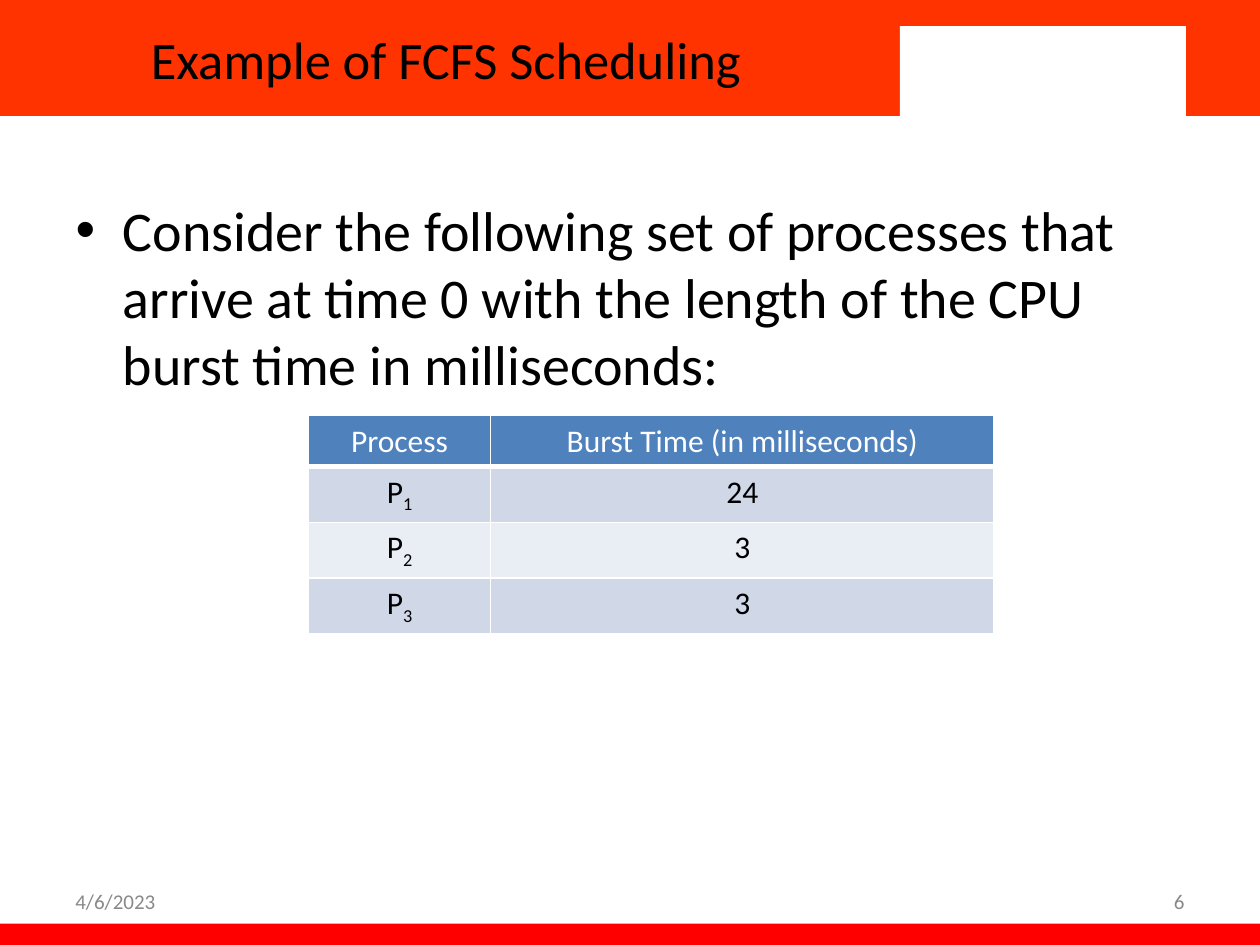
import lxml.etree
import pptx
import pptx.dml.color
import pptx.enum.shapes
import pptx.enum.text
import pptx.oxml.ns
import pptx.util

Cm = pptx.util.Cm
Pt = pptx.util.Pt
ALIGN = pptx.enum.text.PP_ALIGN
ANCHOR = pptx.enum.text.MSO_ANCHOR
FONT = "Calibri"
PROCESSES = [("1", "24"), ("2", "3"), ("3", "3")]


def color(value):
    """Turn a hex string into a colour."""
    return pptx.dml.color.RGBColor.from_string(value)


def format_para(para, size, shade, align):
    """Align a paragraph and format all of its runs."""
    para.alignment = align
    for span in para.runs:
        span.font.name = FONT
        span.font.size = Pt(size)
        span.font.bold = False
        span.font.color.rgb = color(shade)


def add_band(page, left, top, width, height, shade):
    """Add a plain filled rectangle."""
    band = page.shapes.add_shape(
        pptx.enum.shapes.MSO_SHAPE.RECTANGLE, Cm(left), Cm(top), Cm(width), Cm(height))
    band.shadow.inherit = False
    band.fill.solid()
    band.fill.fore_color.rgb = color(shade)
    band.line.fill.background()


def fill_placeholder(box, place, text, size, align, anchor):
    """Move a placeholder in front of the bands and write its text."""
    box.element.getparent().append(box.element)
    box.left, box.top, box.width, box.height = map(Cm, place)
    box.text_frame.text = text
    box.text_frame.vertical_anchor = anchor
    format_para(box.text_frame.paragraphs[0], size, "000000", align)


def add_footer(page, left, text, align):
    """Add a small grey text at the foot of the page."""
    box = page.shapes.add_textbox(Cm(left), Cm(17.65), Cm(5.92), Cm(1.02))
    frame = box.text_frame
    frame.word_wrap = True
    frame.vertical_anchor = ANCHOR.MIDDLE
    frame.text = text
    format_para(frame.paragraphs[0], 12, "898989", align)


def add_borders(cell, bottom_width):
    """Draw white borders around a cell."""
    properties = cell._tc.get_or_add_tcPr()
    qn = pptx.oxml.ns.qn
    for side, width in (("L", 1), ("R", 1), ("T", 1), ("B", bottom_width)):
        line = lxml.etree.SubElement(properties, qn("a:ln" + side), w=str(Pt(width)))
        fill = lxml.etree.SubElement(line, qn("a:solidFill"))
        lxml.etree.SubElement(fill, qn("a:srgbClr"), val="FFFFFF")


def fill_cell(cell, text, subscript, shade, text_shade, bottom_width):
    """Write and paint one table cell, with an optional subscript."""
    add_borders(cell, bottom_width)
    cell.fill.solid()
    cell.fill.fore_color.rgb = color(shade)
    para = cell.text_frame.paragraphs[0]
    para.text = text
    if subscript:
        span = para.add_run()
        span.text = subscript
        span.font._element.set("baseline", "-25000")
    format_para(para, 18, text_shade, ALIGN.CENTER)


def add_process_table(page):
    """Add the table of processes and their burst times."""
    frame = page.shapes.add_table(
        len(PROCESSES) + 1, 2, Cm(6.22), Cm(8.38), Cm(13.82), Cm(4.12))
    table = frame.table
    table.columns[0].width = Cm(3.67)
    table.columns[1].width = Cm(10.15)
    for row in table.rows:
        row.height = Cm(1.03)
    for column, heading in enumerate(("Process", "Burst Time (in milliseconds)")):
        fill_cell(table.cell(0, column), heading, "", "4F81BD", "FFFFFF", 3)
    for row, (number, burst) in enumerate(PROCESSES, 1):
        shade = "D0D8E8" if row % 2 else "E9EDF4"
        fill_cell(table.cell(row, 0), "P", number, shade, "000000", 1)
        fill_cell(table.cell(row, 1), burst, "", shade, "000000", 1)


def main():
    """Build the scheduling slide and save it."""
    deck = pptx.Presentation()
    deck.slide_width, deck.slide_height = Cm(25.4), Cm(19.05)
    page = deck.slides.add_slide(deck.slide_layouts[1])
    add_band(page, 0, 0, 25.4, 2.34, "FF3300")
    add_band(page, 0, 18.62, 25.4, 0.56, "FF0000")
    add_band(page, 17.07, 0, 8.33, 2.34, "FF3300")
    add_band(page, 18.14, 0.53, 5.77, 1.9, "FFFFFF")
    title, body = page.placeholders
    fill_placeholder(title, (0, 0, 17.98, 2.34), "Example of FCFS Scheduling",
                     30, ALIGN.CENTER, ANCHOR.MIDDLE)
    fill_placeholder(body, (1.27, 3.81, 22.86, 12.57),
                     "Consider the following set of processes that arrive at time 0 "
                     "with the length of the CPU burst time in milliseconds:",
                     32, ALIGN.LEFT, ANCHOR.TOP)
    add_footer(page, 1.27, "4/6/2023", ALIGN.LEFT)
    add_footer(page, 18.21, "6", ALIGN.RIGHT)
    add_process_table(page)
    deck.save("out.pptx")


if __name__ == "__main__":
    main()
